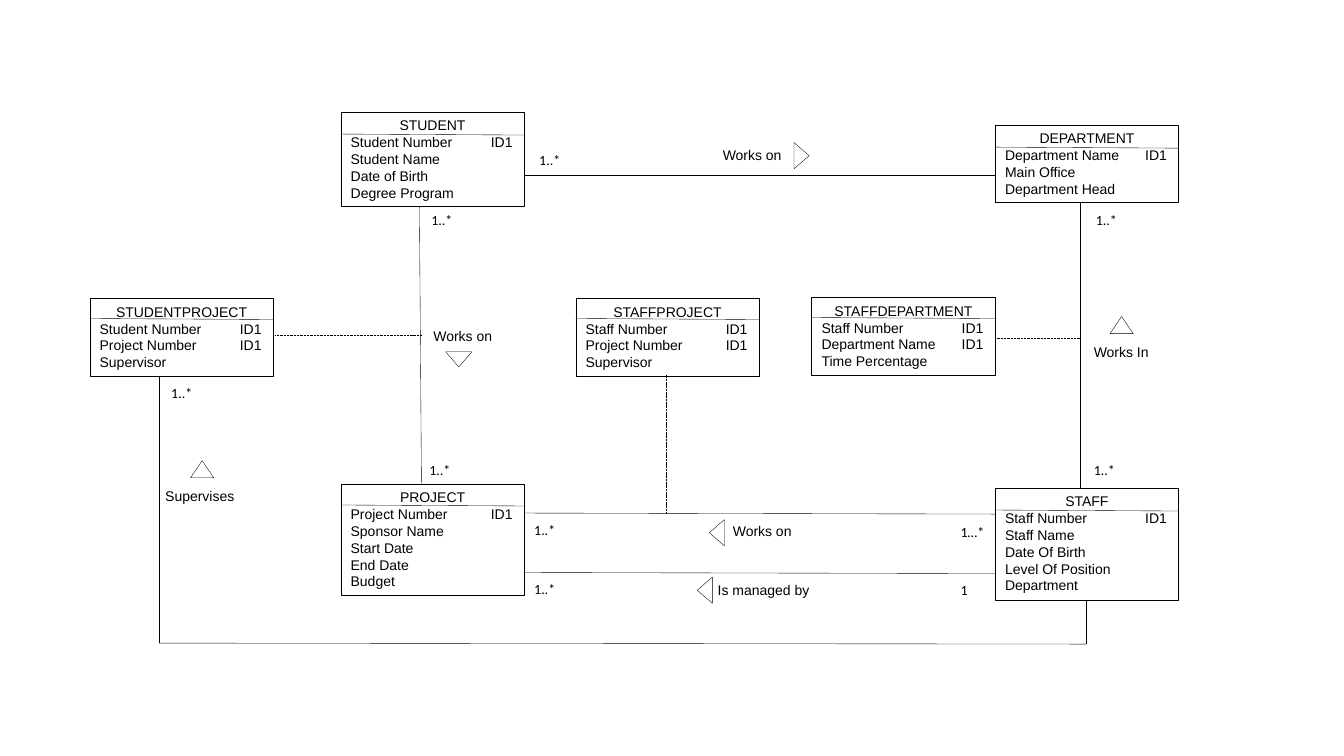
from dataclasses import dataclass
from lxml.etree import SubElement
from pptx import Presentation
from pptx.dml.color import RGBColor
from pptx.enum.dml import MSO_LINE
from pptx.enum.shapes import MSO_CONNECTOR, MSO_SHAPE
from pptx.enum.text import MSO_ANCHOR, PP_ALIGN
from pptx.oxml.ns import qn
from pptx.util import Pt

PX = 9144  # EMU per px, 100 px to the inch


@dataclass(frozen=True)
class Theme:
    ink: RGBColor = RGBColor(0, 0, 0)
    paper: RGBColor = RGBColor(255, 255, 255)
    font: str = "Arial"
    count_font: str = "Calibri"
    size: float = 10
    line: float = 0.25


T = Theme()

# Entities: name, left, top, height, header height, attributes (* marks a key)
BOX_W, KEY_TAB = 182, 139
ENTITIES = [
    ("PROJECT", 338, 480, 111, 21,
     ["*Project Number", "Sponsor Name", "Start Date", "End Date", "Budget"]),
    ("STAFF", 987, 484, 111, 22,
     ["*Staff Number", "Staff Name", "Date Of Birth", "Level Of Position", "Department"]),
    ("DEPARTMENT", 987, 124, 77, 22,
     ["*Department Name", "Main Office", "Department Head"]),
    ("STUDENT", 338, 111, 94, 22,
     ["*Student Number", "Student Name", "Date of Birth", "Degree Program"]),
    ("STUDENTPROJECT", 89, 296, 77, 20,
     ["*Student Number", "*Project Number", "Supervisor"]),
    ("STAFFDEPARTMENT", 805, 295, 77, 20,
     ["*Staff Number", "*Department Name", "Time Percentage"]),
    ("STAFFPROJECT", 571, 296, 77, 20,
     ["*Staff Number", "*Project Number", "Supervisor"]),
]

# Lines: x1, y1, x2, y2
RELATIONS = [
    (987, 174, 520, 174),    # student - department
    (1071, 484, 1071, 201),  # department - staff
    (418, 480, 416, 205),    # student - project
    (987, 510, 520, 509),    # staff works on project
    (987, 569, 520, 568),    # project is managed by staff
    (1077, 639, 1077, 595),  # staff supervises student project
    (1077, 639, 158, 638),
    (158, 638, 158, 373),
]
ASSOCIATIONS = [(661, 510, 661, 372), (987, 336, 1071, 336), (273, 333, 418, 333)]

# Relation names: text, left, top, width
LABELS = [
    ("Works on", 707, 140, 79), ("Works In", 1075, 336, 75),
    ("Works on", 420, 320, 79), ("Works on", 717, 513, 79),
    ("Is managed by", 702, 572, 111), ("Supervises", 154, 479, 89),
]

# Multiplicities: text, left, top
COUNTS = [
    ("1..*", 525, 145), ("1..*", 418, 205), ("1..*", 416, 453), ("1..*", 160, 377),
    ("1..*", 1077, 205), ("1..*", 1075, 453), ("1..*", 520, 512), ("1…*", 943, 514),
    ("1..*", 520, 571), ("1", 943, 572),
]

# Direction markers: left, top, width, height, rotation
MARKERS = [
    (1101, 314, 23, 17, 0), (189, 457, 23, 17, 0), (442, 349, 26, 15, 180),
    (698, 521, 26, 15, 270), (686, 578, 26, 15, 270), (782, 147, 26, 15, 90),
]

prs = Presentation()
prs.slide_width, prs.slide_height = 1333 * PX, 750 * PX
s = prs.slides.add_slide(prs.slide_layouts[6])


def emu(*lengths):
    return [n * PX for n in lengths]


def outline(obj):
    obj.line.color.rgb = T.ink
    obj.line.width = Pt(T.line)


def add_line(ends, dotted=False):
    c = s.shapes.add_connector(MSO_CONNECTOR.STRAIGHT, *emu(*ends))
    outline(c)
    if dotted:
        c.line.dash_style = MSO_LINE.SQUARE_DOT
    SubElement(c._element.spPr, qn("a:effectLst"))


def add_run(p, text, font=T.font):
    r = p.add_run()
    r.text = text
    r.font.name, r.font.size = font, Pt(T.size)
    r.font.color.rgb = T.ink


def add_text(text, x, y, w, h, font=T.font, wrap=False):
    tf = s.shapes.add_textbox(*emu(x, y, w, h)).text_frame
    tf.word_wrap = wrap
    add_run(tf.paragraphs[0], text, font)


def add_entity(name, x, y, h, header, attributes):
    sp = s.shapes.add_shape(MSO_SHAPE.RECTANGLE, *emu(x, y, BOX_W, h))
    sp.shadow.inherit = False
    sp.fill.background()
    outline(sp)
    tf = sp.text_frame
    tf.word_wrap, tf.vertical_anchor = True, MSO_ANCHOR.TOP
    p = tf.paragraphs[0]
    p.alignment = PP_ALIGN.CENTER
    add_run(p, name)
    for attribute in attributes:
        p = tf.add_paragraph()
        p.alignment = PP_ALIGN.LEFT
        add_run(p, attribute.lstrip("*"))
        if attribute.startswith("*"):
            tabs = SubElement(p._p.get_or_add_pPr(), qn("a:tabLst"))
            SubElement(tabs, qn("a:tab"), pos=str(KEY_TAB * PX), algn="l")
            add_run(p, "\tID1")
    add_line((x, y + header, x + BOX_W, y + header + 1))


# Entity boxes
for entity in ENTITIES:
    add_entity(*entity)

# Relation and association lines
for ends in RELATIONS:
    add_line(ends)
for ends in ASSOCIATIONS:
    add_line(ends, dotted=True)

# Relation names and multiplicities
for text, x, y, w in LABELS:
    add_text(text, x, y, w, 27)
for text, x, y in COUNTS:
    add_text(text, x, y, 46, 27, T.count_font, wrap=True)

# Direction markers
for *place, turn in MARKERS:
    sp = s.shapes.add_shape(MSO_SHAPE.ISOSCELES_TRIANGLE, *emu(*place))
    sp.shadow.inherit = False
    sp.fill.solid()
    sp.fill.fore_color.rgb = T.paper
    sp.rotation = turn
    outline(sp)

prs.save("out.pptx")
